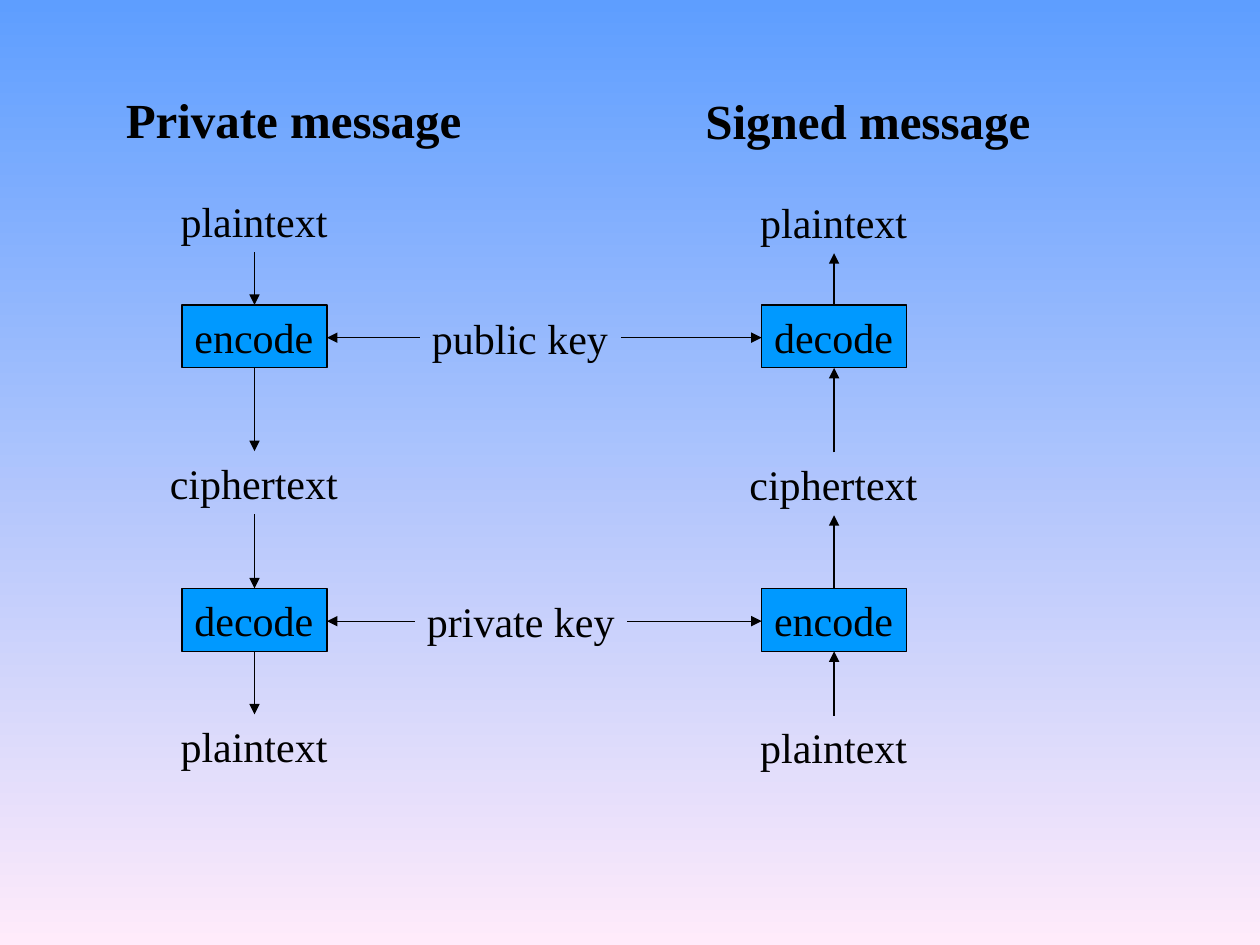
from dataclasses import dataclass

from pptx import Presentation
from pptx.dml.color import RGBColor
from pptx.enum.shapes import MSO_CONNECTOR as Connector, MSO_SHAPE as Shape
from pptx.enum.text import MSO_ANCHOR as Anchor, MSO_AUTO_SIZE as AutoSize, PP_ALIGN as Align
from pptx.oxml.ns import qn
from pptx.util import Inches, Pt
from lxml.etree import SubElement


@dataclass(frozen=True)
class Theme:
    font: str = "Times New Roman"
    heading: Pt = Pt(28)
    body: Pt = Pt(24)
    line: Pt = Pt(0.75)
    ink: RGBColor = RGBColor(0, 0, 0)
    step: RGBColor = RGBColor(0x00, 0x99, 0xFF)
    sky: RGBColor = RGBColor(0x5E, 0x9E, 0xFF)
    blush: RGBColor = RGBColor(0xFF, 0xEB, 0xFA)


theme = Theme()
deck = Presentation()
deck.slide_width, deck.slide_height = Inches(10), Inches(7.5)
page = deck.slides.add_slide(deck.slide_layouts[6])

# Background gradient, top to bottom
backdrop = page.background.fill
backdrop.gradient()
backdrop.gradient_angle = 270
for stop, color in zip(backdrop.gradient_stops, (theme.sky, theme.blush)):
    stop.color.rgb = color


def add_label(text, left, top, width, height=0.5, step=False, heading=False):
    place = [Inches(value) for value in (left, top, width, height)]
    if step:
        box = page.shapes.add_shape(Shape.RECTANGLE, *place)
        box.shadow.inherit = False
        box.fill.solid()
        box.fill.fore_color.rgb = theme.step
        box.line.color.rgb = theme.ink
        box.line.width = theme.line
    else:
        box = page.shapes.add_textbox(*place)
    frame = box.text_frame
    frame.word_wrap = False
    frame.auto_size = AutoSize.SHAPE_TO_FIT_TEXT
    frame.vertical_anchor = Anchor.TOP
    para = frame.paragraphs[0]
    para.text = text
    para.alignment = Align.LEFT
    para.font.name = theme.font
    para.font.size = theme.heading if heading else theme.body
    para.font.bold = heading
    para.font.color.rgb = theme.ink


def add_arrow(x1, y1, x2, y2):
    ends = [Inches(value) for value in (x1, y1, x2, y2)]
    arrow = page.shapes.add_connector(Connector.STRAIGHT, *ends)
    arrow.line.color.rgb = theme.ink
    arrow.line.width = theme.line
    SubElement(arrow.line._get_or_add_ln(), qn("a:tailEnd"), type="triangle")
    SubElement(arrow._element.spPr, qn("a:effectLst"))


# Headings
add_label("Private message", 0.9, 0.66, 2.86, 0.57, heading=True)
add_label("Signed message", 5.5, 0.67, 2.78, 0.57, heading=True)

# Two columns of texts and steps; the signed one runs upwards
text_rows = (("plaintext", 1.5, 1.37), ("ciphertext", 3.58, 1.54), ("plaintext", 5.67, 1.37))
step_tops = (2.42, 4.67)
step_width = 1.15
columns = (
    (2.02, 0, ("encode", "decode"), False),
    (6.62, 0.01, ("decode", "encode"), True),
)
for center, drop, steps, upward in columns:
    for text, top, width in text_rows:
        add_label(text, center - width / 2, top + drop, width)
    for text, top in zip(steps, step_tops):
        add_label(text, center - step_width / 2, top, step_width, step=True)

    # Each step links the text above it to the text below it
    for above, below, step_top in zip(text_rows, text_rows[1:], step_tops):
        gaps = ((above[1] + drop + 0.5, step_top), (step_top + 0.5, below[1] + drop))
        for start, end in gaps:
            if upward:
                start, end = end, start
            add_arrow(center, start, center, end)

# Keys, each feeding the step on either side
left_edge = columns[0][0] + step_width / 2
right_edge = columns[1][0] - step_width / 2
keys = (("public key", 3.33, 1.6), ("private key", 3.29, 1.69))
for (text, left, width), step_top in zip(keys, step_tops):
    add_label(text, left, step_top + 0.01, width)
    middle = step_top + 0.26
    add_arrow(left, middle, left_edge, middle)
    add_arrow(left + width, middle, right_edge, middle)

deck.save("out.pptx")
